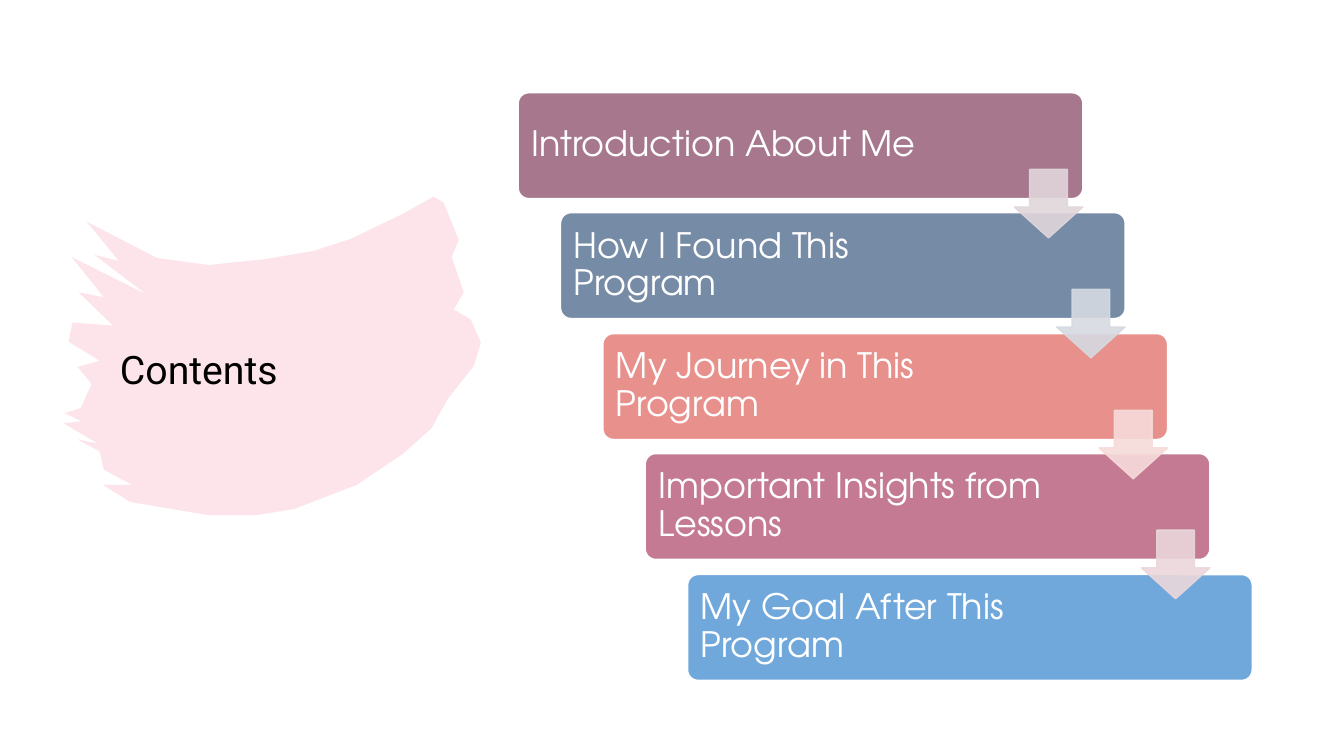
from dataclasses import dataclass
from lxml import etree
from pptx import Presentation
from pptx import util as u
from pptx.dml.color import RGBColor
from pptx.enum import shapes, text
from pptx.oxml import ns

PX = 9144


@dataclass(frozen=True)
class Theme:
    brush: str = "F07C98"
    ink: str = "000000"
    paper: str = "FFFFFF"
    title_font: str = "Roboto"
    step_font: str = "TeX Gyre Adventor"
    title_size: int = 28
    step_size: int = 25


THEME = Theme()

STEPS = [
    ("Introduction About Me", "A6778D", "E1D6DB"),
    ("How I Found This Program", "768BA6", "D6DAE1"),
    ("My Journey in This Program", "E8908B", "F6DBDA"),
    ("Important Insights from Lessons", "C47A93", "EAD7DC"),
    ("My Goal After This Program", "70A8DB", None),
]

BRUSH_OUTLINE = [
    (430, 195), (440, 201), (455, 238), (448, 255), (460, 290), (450, 307),
    (467, 317), (477, 340), (470, 363), (444, 396), (428, 425), (400, 450),
    (354, 481), (292, 505), (255, 511), (206, 511), (129, 498), (102, 481),
    (131, 481), (103, 466), (99, 448), (77, 436), (97, 440), (63, 420),
    (81, 418), (64, 410), (80, 405), (91, 381), (77, 364), (99, 358),
    (68, 339), (72, 320), (112, 323), (78, 290), (103, 295), (71, 255),
    (145, 292), (94, 253), (118, 259), (86, 220), (156, 256), (207, 263),
    (264, 257), (311, 249), (348, 237), (400, 212),
]


def apply(target, values):
    for name, value in values.items():
        setattr(target, name, value)


def place(box, left, top, width, height):
    apply(box, dict(left=left * PX, top=top * PX, width=width * PX, height=height * PX))


def write(box, words, font, size, colour, margins):
    frame = box.text_frame
    apply(frame, dict(word_wrap=True, auto_size=text.MSO_AUTO_SIZE.NONE,
                      vertical_anchor=text.MSO_ANCHOR.MIDDLE))
    apply(frame, {f"margin_{side}": gap * PX for side, gap in margins.items()})
    para = frame.paragraphs[0]
    apply(para, dict(alignment=text.PP_ALIGN.LEFT, line_spacing=0.9))
    span = para.add_run()
    span.text = words
    apply(span.font, dict(name=font, size=u.Pt(size)))
    span.font.color.rgb = RGBColor.from_string(colour)


def paint(shape, fill, line=None, opacity=100):
    shape.shadow.inherit = False
    shape.fill.solid()
    shape.fill.fore_color.rgb = RGBColor.from_string(fill)
    if line:
        shape.line.color.rgb = RGBColor.from_string(line)
        shape.line.width = u.Pt(1)
    else:
        shape.line.fill.background()
    if opacity < 100:
        for colour in shape.element.spPr.iter(ns.qn("a:srgbClr")):
            etree.SubElement(colour, ns.qn("a:alpha"), val=str(opacity * 1000))


def add_preset(page, kind, left, top, width, height, adjustments):
    shape = page.shapes.add_shape(kind, left * PX, top * PX, width * PX, height * PX)
    for index, value in enumerate(adjustments):
        shape.adjustments[index] = value
    return shape


def add_brush(page):
    builder = page.shapes.build_freeform(*BRUSH_OUTLINE[0], scale=PX)
    builder.add_line_segments(BRUSH_OUTLINE[1:], close=True)
    brush = builder.convert_to_shape()
    paint(brush, THEME.brush, opacity=20)
    return brush


def add_title(page, words):
    title = page.shapes.title
    place(title, 109, 287, 329, 164)
    write(title, words, THEME.title_font, THEME.title_size, THEME.ink,
          dict(left=10, right=10, top=5, bottom=5))
    return title


def add_step(page, left, top, words, fill):
    step = add_preset(page, shapes.MSO_SHAPE.ROUNDED_RECTANGLE, left, top, 560, 105, [0.1])
    paint(step, fill, THEME.paper)
    write(step, words, THEME.step_font, THEME.step_size, THEME.paper,
          dict(left=10, right=120, top=10, bottom=10))


def add_arrow(page, left, top, colour):
    arrow = add_preset(page, shapes.MSO_SHAPE.DOWN_ARROW, left, top, 68, 68, [0.55, 0.45])
    paint(arrow, colour, colour, opacity=90)


def main():
    deck = Presentation()
    apply(deck, dict(slide_width=1333 * PX, slide_height=750 * PX))
    page = deck.slides.add_slide(deck.slide_layouts[5])
    title = add_title(page, "Contents")
    title.element.addprevious(add_brush(page).element)

    corners = [(514 + 42 * index, 92 + 239 * index // 2) for index in range(len(STEPS))]
    for (left, top), (words, fill, _) in zip(corners, STEPS):
        add_step(page, left, top, words, fill)
    for (left, top), (_, _, colour) in zip(corners, STEPS):
        if colour:
            add_arrow(page, left + 492, top + 76, colour)
    deck.save("out.pptx")


if __name__ == "__main__":
    main()
